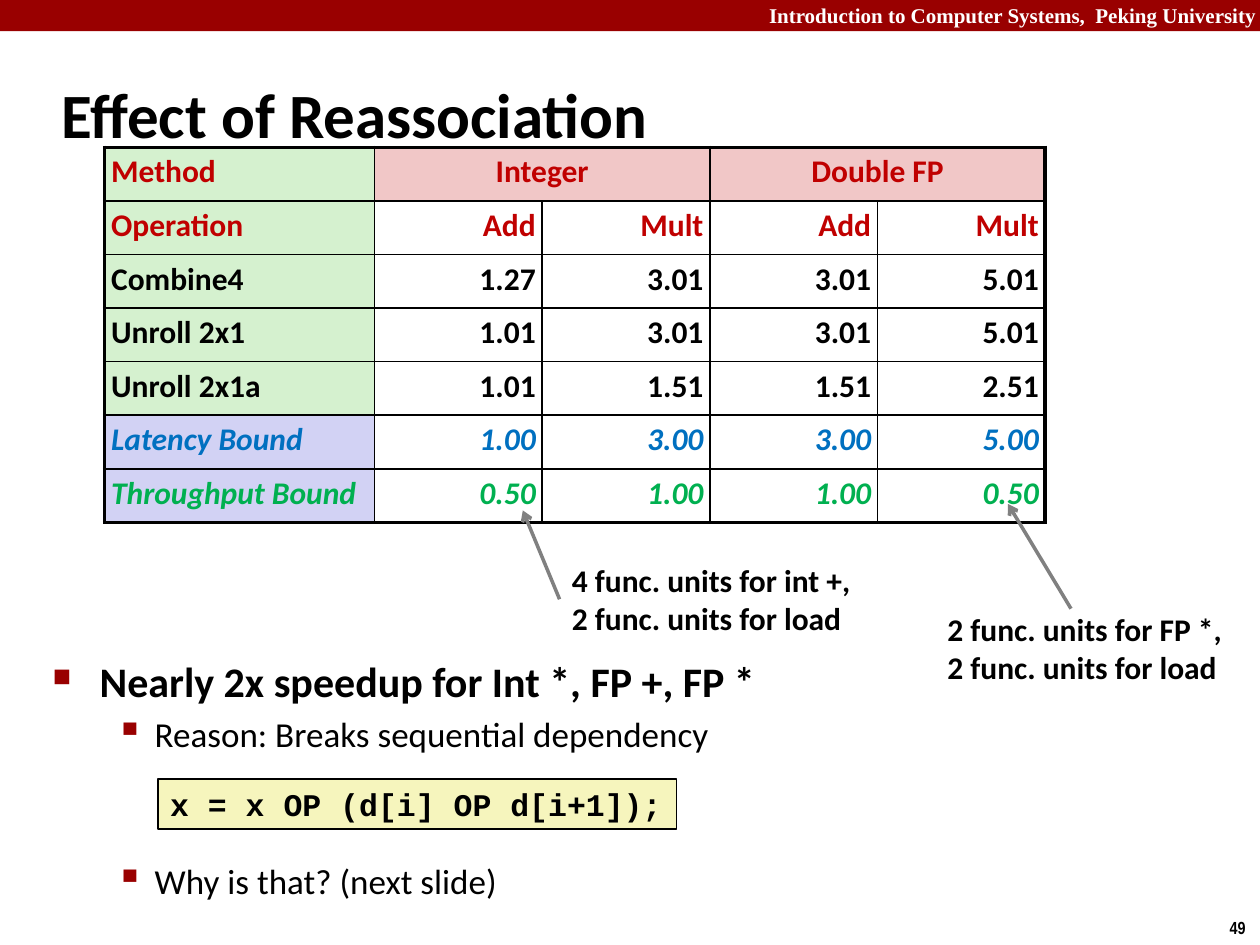
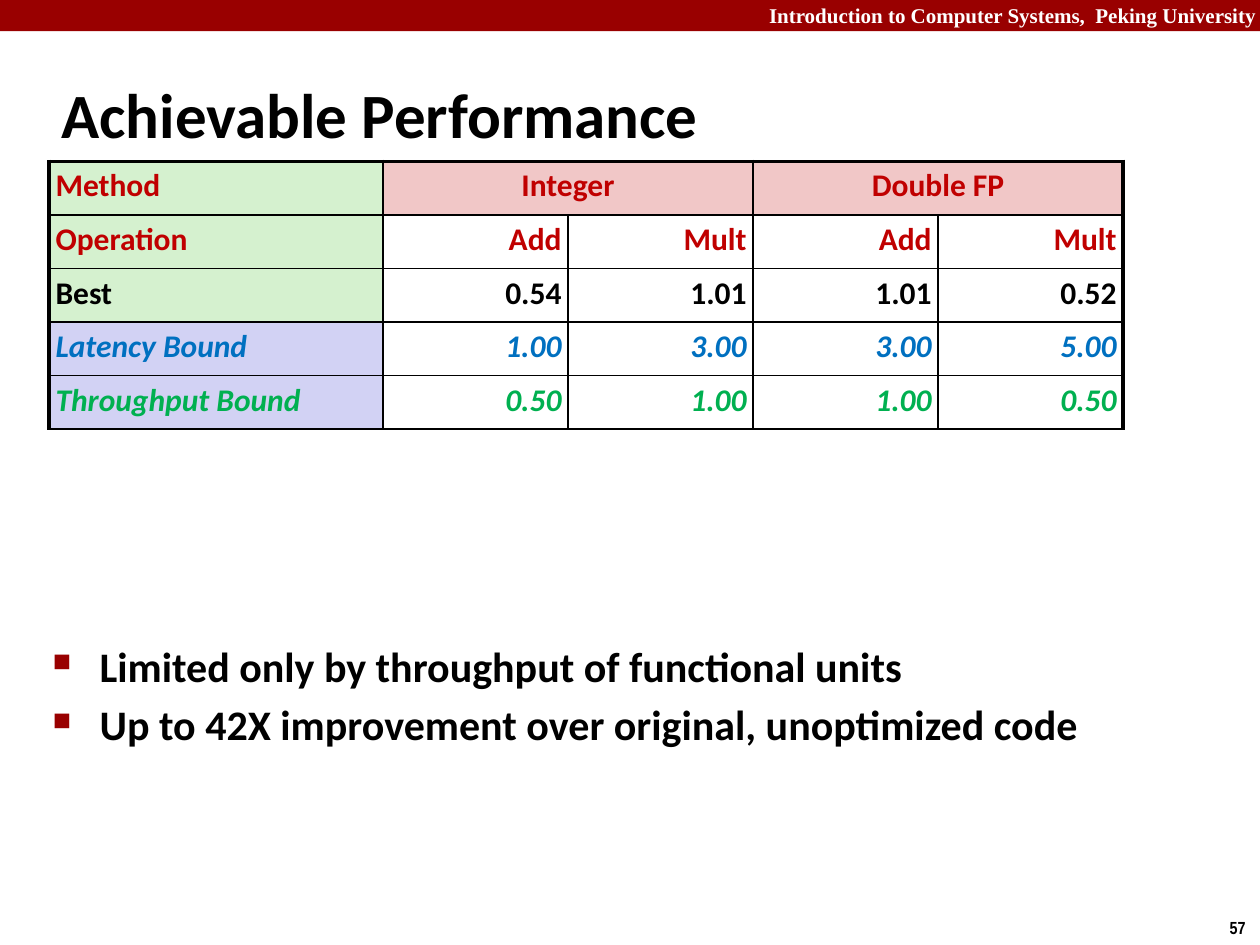
"""Build two slides comparing measured cycle counts with their latency and throughput bounds."""
from dataclasses import dataclass
from typing import NamedTuple

from lxml.etree import SubElement
from pptx import Presentation
from pptx.dml.color import RGBColor
from pptx.enum.shapes import MSO_CONNECTOR as Connector, MSO_SHAPE as Shape
from pptx.enum.text import MSO_ANCHOR as Anchor, PP_ALIGN as Align
from pptx.oxml.ns import qn
from pptx.util import Cm, Pt


@dataclass(frozen=True)
class Theme:
    """Colours, fonts and type sizes of the deck."""
    band: str = "990000"
    white: str = "FFFFFF"
    ink: str = "000000"
    heading: str = "C00000"
    latency: str = "0070C0"
    throughput: str = "00B050"
    method_fill: str = "D5F1CF"
    type_fill: str = "F1C7C7"
    bound_fill: str = "D2D2F4"
    code_fill: str = "F6F5BD"
    arrow: str = "808080"
    body_font: str = "Calibri"
    code_font: str = "Courier New"
    band_font: str = "Times New Roman"
    page_font: str = "Arial Narrow"
    title_size: float = 36
    point_size: float = 24
    detail_size: float = 20
    text_size: float = 18
    band_size: float = 12
    page_size: float = 10
    thin: float = 1
    arrow_width: float = 2
    thick: float = 2.25


THEME = Theme()


class Box(NamedTuple):
    """Left, top, width and height in centimetres."""
    left: float
    top: float
    width: float
    height: float

    def lengths(self) -> list:
        """Return the four values as lengths."""
        return [Cm(v) for v in self]


class Row(NamedTuple):
    """One table row: its label, four values and look."""
    label: str
    values: tuple
    color: str = THEME.ink
    fill: str = THEME.method_fill
    italic: bool = False


class Bullet(NamedTuple):
    """Bullet character, its size in percent, indents in cm and text format."""
    char: str
    percent: int
    margin: float
    hang: float
    size: float
    bold: bool


class Point(NamedTuple):
    """One bulleted line and the space before it in points."""
    text: str
    bullet: Bullet
    before: float = 0


MAIN = Bullet("■", 60, 0.95, 0.95, THEME.point_size, True)
DETAIL = Bullet("▪", 110, 2.06, 0.79, THEME.detail_size, False)
HEAD = Row("Operation", ("Add", "Mult") * 2, THEME.heading)
BOUNDS = (
    Row("Latency Bound", ("1.00", "3.00", "3.00", "5.00"), THEME.latency, THEME.bound_fill, True),
    Row("Throughput Bound", ("0.50", "1.00", "1.00", "0.50"), THEME.throughput, THEME.bound_fill, True),
)
ROW_HEIGHT = 1.08
CELL_INSET = 0.13


def rgb(color: str) -> RGBColor:
    """Turn a hex string into a colour."""
    return RGBColor.from_string(color)


def write(tf, text: str, *, size: float = THEME.text_size, font: str = THEME.body_font,
          color: str = THEME.ink, bold: bool = True, italic: bool = False,
          align: Align = Align.LEFT, before: float = 0, spacing: float | None = None,
          bullet: Bullet | None = None) -> None:
    """Append formatted paragraphs to a text frame, one for each line."""
    for line in text.split("\n"):
        p = tf.add_paragraph() if tf.text else tf.paragraphs[0]
        if bullet:
            add_bullet(p, bullet)
        p.alignment = align
        if before:
            p.space_before = Pt(before)
        if spacing:
            p.line_spacing = spacing
        r = p.add_run()
        r.text = line
        r.font.size, r.font.name = Pt(size), font
        r.font.bold, r.font.italic = bold, italic
        r.font.color.rgb = rgb(color)


def add_bullet(p, bullet: Bullet) -> None:
    """Give a paragraph a coloured bullet and a hanging indent."""
    pPr = p._p.get_or_add_pPr()
    pPr.set("marL", str(Cm(bullet.margin)))
    pPr.set("indent", str(-Cm(bullet.hang)))
    SubElement(SubElement(pPr, qn("a:buClr")), qn("a:srgbClr"), val=THEME.band)
    SubElement(pPr, qn("a:buSzPct"), val=str(bullet.percent * 1000))
    SubElement(pPr, qn("a:buChar"), char=bullet.char)


def add_label(s, box: Box, text: str, *, wrap: bool = False, anchor: Anchor = Anchor.TOP, **fmt):
    """Add a text box."""
    sp = s.shapes.add_textbox(*box.lengths())
    tf = sp.text_frame
    tf.word_wrap, tf.vertical_anchor = wrap, anchor
    write(tf, text, **fmt)
    return sp


def add_rect(s, box: Box, fill: str, line: str | None = None):
    """Add a flat rectangle, outlined if a line colour is given."""
    sp = s.shapes.add_shape(Shape.RECTANGLE, *box.lengths())
    sp.shadow.inherit = False
    sp.fill.solid()
    sp.fill.fore_color.rgb = rgb(fill)
    if line:
        sp.line.color.rgb, sp.line.width = rgb(line), Pt(THEME.thin)
    else:
        sp.line.fill.background()
    return sp


def add_arrow(s, start: tuple, end: tuple, source=None, site: int = 0) -> None:
    """Draw an arrow, optionally joined to a side of its source."""
    cx = s.shapes.add_connector(Connector.STRAIGHT, *[Cm(v) for v in start + end])
    if source:
        cx.begin_connect(source, site)
    cx.line.color.rgb, cx.line.width = rgb(THEME.arrow), Pt(THEME.arrow_width)
    SubElement(cx.line._get_or_add_ln(), qn("a:tailEnd"), type="arrow")
    SubElement(cx._element.spPr, qn("a:effectLst"))


def add_points(s, box: Box, points: list[Point]) -> None:
    """Add the bulleted body text."""
    tf = s.shapes.add_textbox(*box.lengths()).text_frame
    tf.word_wrap = True
    for text, bullet, before in points:
        write(tf, text, bullet=bullet, before=before, size=bullet.size, bold=bullet.bold)


def set_borders(cell, widths: dict[str, float]) -> None:
    """Draw the cell borders, given as side and width in points."""
    tcPr = cell._tc.get_or_add_tcPr()
    for side, width in widths.items():
        ln = SubElement(tcPr, qn(f"a:ln{side}"), w=str(Pt(width)))
        SubElement(SubElement(ln, qn("a:solidFill")), qn("a:srgbClr"), val=THEME.ink)


def fill_cell(cell, text: str, fill: str | None, **fmt) -> None:
    """Set the text, fill and insets of a cell."""
    cell.margin_left = cell.margin_right = cell.margin_top = cell.margin_bottom = Cm(CELL_INSET)
    if fill:
        cell.fill.solid()
        cell.fill.fore_color.rgb = rgb(fill)
    else:
        cell.fill.background()
    if text:
        write(cell.text_frame, text, spacing=0.95, **fmt)


def add_cycles_table(s, left: float, top: float, label_width: float, value_width: float,
                     measured: list[Row], bottom: float) -> None:
    """Add the table of measured cycles followed by the two bounds."""
    rows = [HEAD, *measured, *BOUNDS]
    widths = [label_width] + [value_width] * len(HEAD.values)
    n_rows, n_cols = len(rows) + 1, len(widths)
    box = Box(left, top, sum(widths), n_rows * ROW_HEIGHT)
    table = s.shapes.add_table(n_rows, n_cols, *box.lengths()).table
    table.first_row = table.horz_banding = False
    for column, width in zip(table.columns, widths):
        column.width = Cm(width)
    for row in table.rows:
        row.height = Cm(ROW_HEIGHT)
    for c in (1, 3):
        table.cell(0, c).merge(table.cell(0, c + 1))
    for i in range(n_rows):
        for c in range(n_cols):
            cell = table.cell(i, c)
            at_right = c + cell.span_width == n_cols
            set_borders(cell, {
                "L": THEME.thin if c else THEME.thick,
                "R": THEME.thick if at_right else THEME.thin,
                "T": THEME.thin if i else THEME.thick,
                "B": bottom if i == n_rows - 1 else THEME.thin,
            })
    fill_cell(table.cell(0, 0), "Method", THEME.method_fill, color=THEME.heading)
    for c, text in enumerate(("Integer", "", "Double FP", ""), 1):
        fill_cell(table.cell(0, c), text, THEME.type_fill, color=THEME.heading, align=Align.CENTER)
    for i, row in enumerate(rows, 1):
        look = dict(color=row.color, italic=row.italic)
        fill_cell(table.cell(i, 0), row.label, row.fill, **look)
        for c, value in enumerate(row.values, 1):
            fill_cell(table.cell(i, c), value, None, align=Align.RIGHT, **look)


def add_slide(prs, title: str, number: int):
    """Add a blank slide with the course band, page number and title."""
    s = prs.slides.add_slide(prs.slide_layouts[6])
    add_rect(s, Box(0, 0, 25.4, 0.63), THEME.band)
    add_label(s, Box(15.24, -0.08, 10.34, 0.76), "Introduction to Computer Systems,  Peking University",
              wrap=True, size=THEME.band_size, font=THEME.band_font, color=THEME.white, align=Align.RIGHT)
    add_label(s, Box(24.54, 18.36, 0.86, 0.69), str(number), size=THEME.page_size, font=THEME.page_font)
    add_label(s, Box(0.99, 1.22, 21.08, 2.11), title, wrap=True, anchor=Anchor.MIDDLE, size=THEME.title_size)
    return s


def build_reassociation(prs) -> None:
    """Build the slide on the effect of reassociation."""
    s = add_slide(prs, "Effect of Reassociation", 49)
    add_points(s, Box(0.81, 13.08, 23.09, 4.83), [
        Point("Nearly 2x speedup for Int *, FP +, FP *", MAIN),
        Point("Reason: Breaks sequential dependency", DETAIL, 4),
        Point("Why is that? (next slide)", DETAIL, 60),
    ])
    code = add_rect(s, Box(3.18, 15.7, 10.46, 1.02), THEME.code_fill, THEME.ink)
    code.text_frame.word_wrap, code.text_frame.vertical_anchor = False, Anchor.TOP
    write(code.text_frame, "x = x OP (d[i] OP d[i+1]);", font=THEME.code_font)
    add_cycles_table(s, 2.11, 2.97, 5.44, 3.38, [
        Row("Combine4", ("1.27", "3.01", "3.01", "5.01")),
        Row("Unroll 2x1", ("1.01", "3.01", "3.01", "5.01")),
        Row("Unroll 2x1a", ("1.01", "1.51", "1.51", "2.51")),
    ], bottom=THEME.thick)
    add_label(s, Box(18.85, 12.17, 6.1, 1.8), "2 func. units for FP *,\n2 func. units for load")
    add_arrow(s, (21.59, 12.27), (20.32, 10.16))
    int_note = add_label(s, Box(11.28, 11.18, 6.17, 1.8), "4 func. units for int +,\n2 func. units for load")
    add_arrow(s, (11.28, 12.08), (10.54, 10.29), int_note, 1)


def build_achievable(prs) -> None:
    """Build the slide on achievable performance."""
    s = add_slide(prs, "Achievable Performance", 57)
    add_points(s, Box(0.81, 12.78, 23.09, 5.21), [
        Point("Limited only by throughput of functional units", MAIN),
        Point("Up to 42X improvement over original, unoptimized code", MAIN, 4.8),
    ])
    add_cycles_table(s, 0.99, 3.25, 6.73, 3.73, [
        Row("Best", ("0.54", "1.01", "1.01", "0.52")),
    ], bottom=THEME.thin)


def main() -> None:
    """Build and save the deck."""
    prs = Presentation()
    prs.slide_width, prs.slide_height = Cm(25.4), Cm(19.05)
    build_reassociation(prs)
    build_achievable(prs)
    prs.save("out.pptx")


if __name__ == "__main__":
    main()
